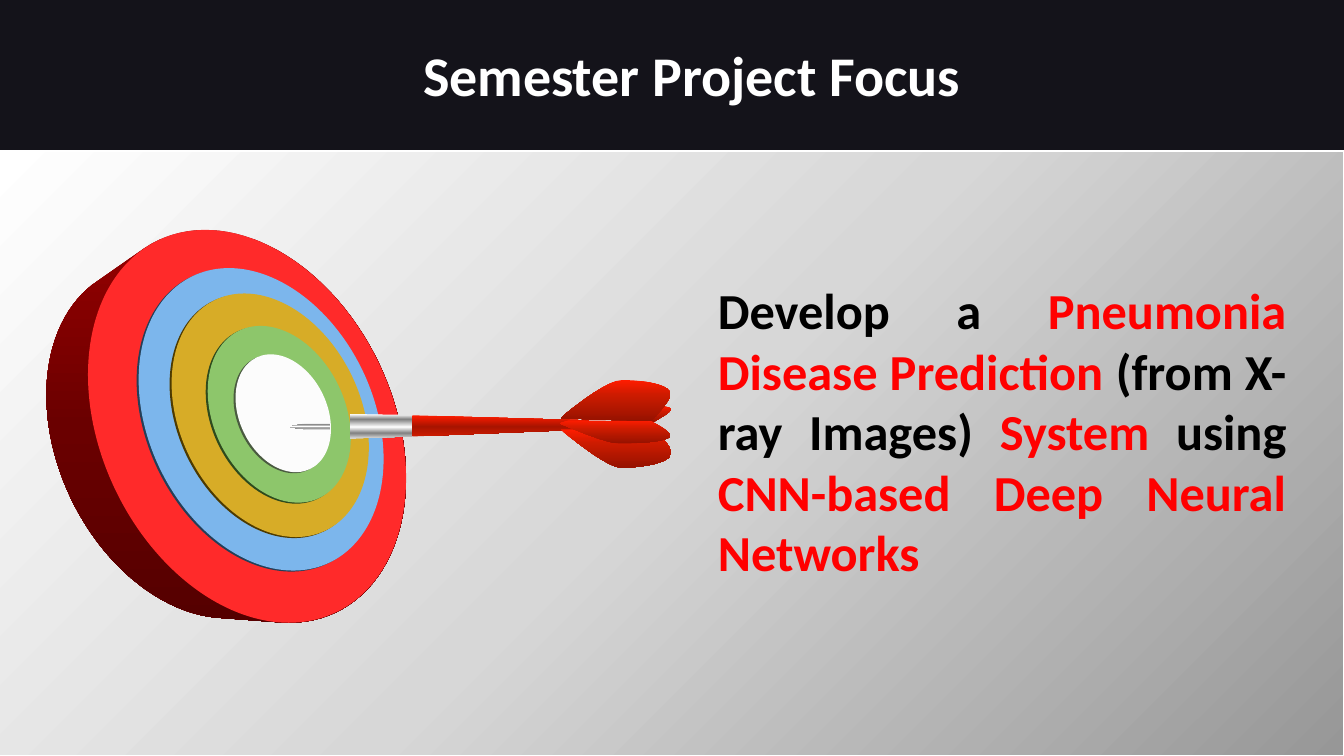
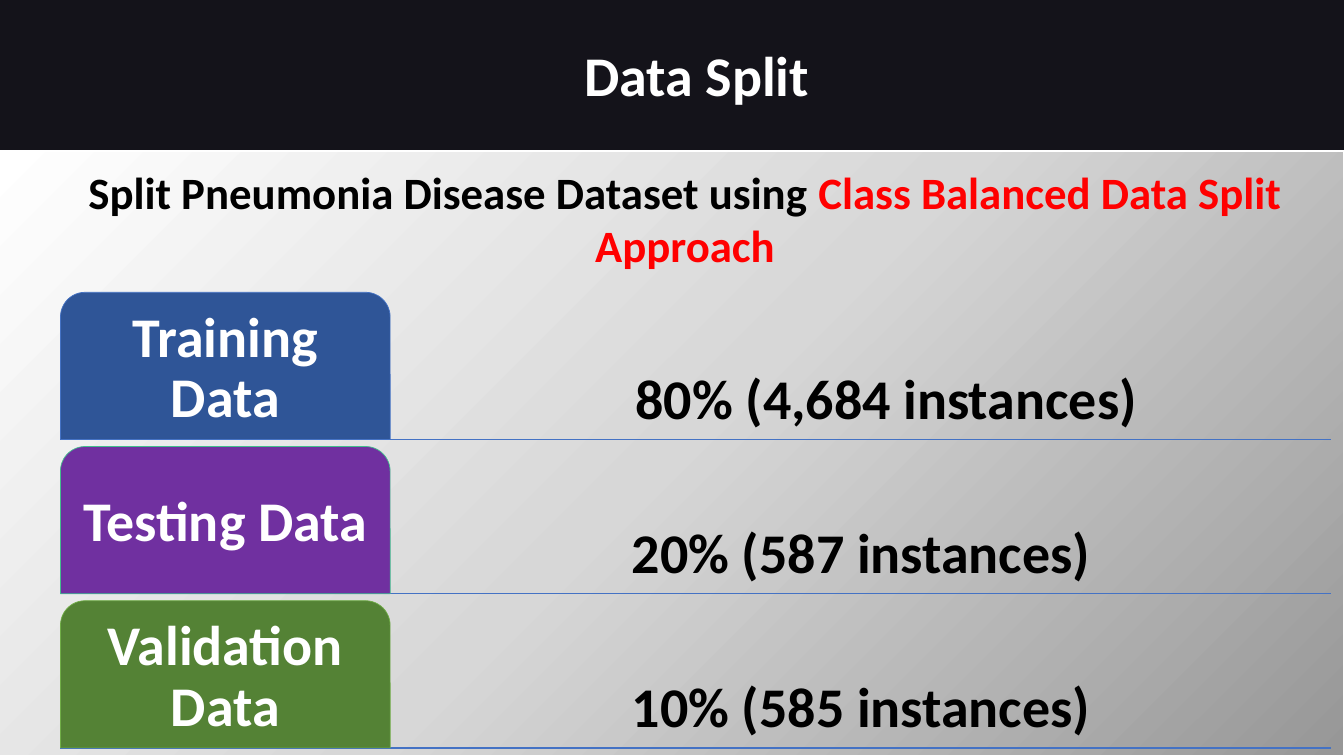
import math
from typing import NamedTuple

from pptx import Presentation
from pptx import util as u
from pptx.dml.color import RGBColor
from pptx.enum import shapes, text
from pptx.oxml import parse_xml
from pptx.oxml.ns import nsdecls, qn

FONT = "Calibri"
COLORS = {
    "band": "14131A", "white": "FFFFFF", "black": "000000", "accent": "FF0000",
    "rule": "4472C4", "training": "2F5597", "testing": "7030A0",
    "testing_line": "43BB8D", "validation": "548235", "validation_line": "70AD47",
    "red": "FF2A2A", "blue": "7CB6EC", "blue_edge": "243F58", "gold": "D7AC27",
    "gold_edge": "4D3A00", "green": "8DC66B", "green_edge": "2E4A1D",
    "bull": "FCFCFC", "bull_edge": "4A5A40",
}
PANEL_STOPS = ((0, "979797"), (50, "D7D7D7"), (100, "FFFFFF"))
SIDE_STOPS = ((0, "960000"), (50, "6A0000"), (100, "550000"))
SHAFT_STOPS = ((0, "FF1C00"), (54, "A81400"), (100, "CC1B00"))
WING_STOPS = ((0, "FF1C00"), (37, "CC1B00"), (100, "961200"))
METAL_STOPS = ((0, "FFFFFF"), (21, "808080"), (53, "FFFFFF"), (78, "808080"), (100, "D9D9D9"))
DOWNWARD = '<a:lin ang="5400000" scaled="0"/>'
FROM_CORNER = '<a:path path="circle"><a:fillToRect l="100000" t="100000"/></a:path>'

BOARD_WIDTH, BOARD_HEIGHT, BOARD_TILT = 2.9, 4.09, -25.5

Point = tuple[float, float]
Stops = tuple[tuple[int, str], ...]


class Run(NamedTuple):
    words: str
    color: str = "black"


class Disc(NamedTuple):
    center_x: float
    center_y: float
    scale: float
    color: str = "red"


class DartPart(NamedTuple):
    """An outline: two numbers make a line, six make a cubic curve."""
    stops: Stops
    start: Point
    segments: tuple[tuple[float, ...], ...]


class SplitRow(NamedTuple):
    label: str
    share: str
    fill: str
    line: str
    indent: float = 0.08


FACE = Disc(2.45, 4.23, 1)
BACK = Disc(1.88, 4.38, 0.9)
RINGS = (
    Disc(2.59, 4.16, 0.77, "blue"),
    Disc(2.68, 4.12, 0.62, "gold"),
    Disc(2.77, 4.11, 0.45, "green"),
    Disc(2.81, 4.1, 0.3, "bull"),
)
DART = (
    DartPart(METAL_STOPS, (2.88, 4.23), ((3.04, 4.2), (3.27, 4.2), (3.27, 4.26), (3.04, 4.26), (2.88, 4.24))),
    DartPart(METAL_STOPS, (3.47, 4.11), ((4.09, 4.12), (4.09, 4.33), (3.47, 4.35))),
    DartPart(SHAFT_STOPS, (4.09, 4.12), ((5.84, 4.17), (5.84, 4.26), (4.09, 4.33))),
    DartPart(WING_STOPS, (5.56, 4.26), (
        (5.56, 4.26, 6.01, 4.64, 6.16, 4.64), (6.35, 4.64, 6.66, 4.6, 6.66, 4.49),
        (6.66, 4.46, 6.62, 4.4, 6.58, 4.36), (6.48, 4.38, 6.29, 4.39, 6.15, 4.4),
        (6.05, 4.4, 5.85, 4.32, 5.7, 4.26))),
    DartPart(WING_STOPS, (6.59, 4.03), (
        (6.53, 4.1, 6.46, 4.18, 6.46, 4.18), (6.48, 4.19),
        (6.52, 4.16, 6.66, 4.09, 6.66, 4.06), (6.66, 4.05, 6.63, 4.04, 6.59, 4.03))),
    DartPart(WING_STOPS, (5.56, 4.15), (
        (5.6, 4.11, 6.01, 3.77, 6.17, 3.77), (6.36, 3.77, 6.65, 3.81, 6.65, 3.91),
        (6.65, 3.98, 6.46, 4.18, 6.46, 4.18))),
    DartPart(WING_STOPS, (6.46, 4.18), (
        (5.64, 4.17), (5.55, 4.2), (5.55, 4.2, 6, 4.4, 6.15, 4.4),
        (6.35, 4.4, 6.65, 4.38, 6.65, 4.32), (6.65, 4.28, 6.46, 4.18, 6.46, 4.18))),
)
ROWS = (
    SplitRow("Training Data", "80% (4,684 instances)", "training", "rule", 0.58),
    SplitRow("Testing Data", "20% (587 instances)", "testing", "testing_line"),
    SplitRow("Validation Data", "10% (585 instances)", "validation", "validation_line"),
)


def rgb(name: str) -> RGBColor:
    return RGBColor.from_string(COLORS[name])


def set_attributes(target, values: dict) -> None:
    for name, value in values.items():
        setattr(target, name, value)


def box(left: float, top: float, width: float, height: float) -> list:
    return [u.Inches(value) for value in (left, top, width, height)]


def paint(shape, fill: str | None = None, line: str | None = None, weight: float = 1) -> None:
    shape.shadow.inherit = False
    if fill:
        shape.fill.solid()
        shape.fill.fore_color.rgb = rgb(fill)
    if line:
        shape.line.color.rgb = rgb(line)
        shape.line.width = u.Pt(weight)
    else:
        shape.line.fill.background()


def paint_gradient(shape, stops: Stops, direction: str = DOWNWARD) -> None:
    shape.fill.gradient()
    previous = shape._element.spPr.find(qn("a:gradFill"))
    marks = "".join(
        f'<a:gs pos="{position * 1000}"><a:srgbClr val="{color}"/></a:gs>'
        for position, color in stops)
    gradient = parse_xml(
        f'<a:gradFill {nsdecls("a")} rotWithShape="1"><a:gsLst>{marks}</a:gsLst>{direction}</a:gradFill>')
    previous.getparent().replace(previous, gradient)


def write(shape, runs: tuple[Run, ...], size: float, align=text.PP_ALIGN.CENTER,
          anchor=text.MSO_ANCHOR.TOP, inset: float = 0, spacing: float = 1) -> None:
    frame = shape.text_frame
    margin = u.Inches(inset)
    set_attributes(frame, {
        "word_wrap": True, "auto_size": text.MSO_AUTO_SIZE.NONE, "vertical_anchor": anchor,
        "margin_left": margin, "margin_right": margin,
        "margin_top": margin, "margin_bottom": margin})
    paragraph = frame.paragraphs[0]
    set_attributes(paragraph, {"alignment": align, "line_spacing": spacing})
    for item in runs:
        run = paragraph.add_run()
        run.text = item.words
        set_attributes(run.font, {"name": FONT, "size": u.Pt(size), "bold": True})
        run.font.color.rgb = rgb(item.color)


def add_page(presentation, title: str, title_left: float):
    """Add a slide with its title in the band and the shaded panel below."""
    slide = presentation.slides.add_slide(presentation.slide_layouts[5])
    heading = slide.shapes.title
    set_attributes(heading, dict(zip(
        ("left", "top", "width", "height"), box(title_left, 0.35, 12.38, 0.77))))
    write(heading, (Run(title, "white"),), 40, anchor=text.MSO_ANCHOR.MIDDLE, inset=0.05)
    panel = slide.shapes.add_shape(shapes.MSO_SHAPE.RECTANGLE, *box(-0.02, 1.5, 13.35, 6))
    paint(panel, line="white")
    paint_gradient(panel, PANEL_STOPS, FROM_CORNER)
    return slide


def add_outline(slide, points: list[Point], stops: Stops) -> None:
    corners = [(u.Inches(x), u.Inches(y)) for x, y in points]
    builder = slide.shapes.build_freeform(*corners[0])
    builder.add_line_segments(corners[1:], close=True)
    outline = builder.convert_to_shape()
    paint(outline)
    paint_gradient(outline, stops)


def add_disc(slide, disc: Disc) -> None:
    width, height = BOARD_WIDTH * disc.scale, BOARD_HEIGHT * disc.scale
    ellipse = slide.shapes.add_shape(shapes.MSO_SHAPE.OVAL, *box(
        disc.center_x - width / 2, disc.center_y - height / 2, width, height))
    ellipse.rotation = BOARD_TILT
    paint(ellipse, disc.color)


def board_side() -> list[Point]:
    """Trace the hull around the front and back of the board."""
    tilt = math.radians(BOARD_TILT)
    radius_x, radius_y = BOARD_WIDTH / 2, BOARD_HEIGHT / 2
    points = []
    for degrees in range(0, 360, 3):
        across, down = math.cos(math.radians(degrees)), math.sin(math.radians(degrees))

        def reach(disc: Disc) -> float:
            x = disc.center_x * math.cos(tilt) + disc.center_y * math.sin(tilt)
            y = disc.center_y * math.cos(tilt) - disc.center_x * math.sin(tilt)
            return x / radius_x * across + y / radius_y * down + disc.scale

        disc = max(FACE, BACK, key=reach)
        x, y = radius_x * disc.scale * across, radius_y * disc.scale * down
        points.append((disc.center_x + x * math.cos(tilt) - y * math.sin(tilt),
                       disc.center_y + x * math.sin(tilt) + y * math.cos(tilt)))
    return points


def trace(part: DartPart, steps: int = 10) -> list[Point]:
    points = [part.start]
    for segment in part.segments:
        if len(segment) == 2:
            points.append(segment)
            continue
        controls = (points[-1], segment[:2], segment[2:4], segment[4:])
        for step in range(1, steps + 1):
            t = step / steps
            weights = [math.comb(3, i) * t ** i * (1 - t) ** (3 - i) for i in range(4)]
            points.append(tuple(
                sum(weight * control[axis] for weight, control in zip(weights, controls))
                for axis in (0, 1)))
    return points


def add_target(slide) -> None:
    add_outline(slide, board_side(), SIDE_STOPS)
    add_disc(slide, FACE)
    for ring in RINGS:
        add_disc(slide, Disc(ring.center_x - 0.02, ring.center_y + 0.01, ring.scale, f"{ring.color}_edge"))
        add_disc(slide, ring)
    for part in DART:
        add_outline(slide, trace(part), part.stops)


def add_split_row(slide, row: SplitRow, top: float, height: float = 1.46) -> None:
    bottom = u.Inches(top + height)
    rule = slide.shapes.add_connector(
        shapes.MSO_CONNECTOR.STRAIGHT, u.Inches(0.6), bottom, u.Inches(13.2), bottom)
    rule.line.color.rgb = rgb("rule")
    rule.line.width = u.Pt(1)
    rule._element.spPr.append(parse_xml(f'<a:effectLst {nsdecls("a")}/>'))
    tab = slide.shapes.add_shape(
        shapes.MSO_SHAPE.ROUND_2_SAME_RECTANGLE, *box(0.6, top, 3.27, height))
    paint(tab, row.fill, row.line, 0.5)
    write(tab, (Run(row.label, "white"),), 40, anchor=text.MSO_ANCHOR.MIDDLE,
          inset=0.08, spacing=0.9)
    share = slide.shapes.add_textbox(*box(3.88, top, 9.32, height))
    write(share, (Run(row.share),), 40, anchor=text.MSO_ANCHOR.BOTTOM, inset=0.08, spacing=0.9)
    share.text_frame.margin_left = u.Inches(row.indent)


def add_focus_slide(presentation) -> None:
    slide = add_page(presentation, "Semester Project Focus", 0.67)
    add_target(slide)
    goal = slide.shapes.add_textbox(*box(7.12, 2.77, 5.64, 3.03))
    write(goal, (
        Run("Develop a "), Run("Pneumonia Disease Prediction ", "accent"),
        Run("(from X-ray Images) "), Run("System", "accent"), Run(" using "),
        Run("CNN-based Deep Neural Networks", "accent")), 36, text.PP_ALIGN.JUSTIFY)


def add_split_slide(presentation) -> None:
    slide = add_page(presentation, "Data Split", 0.72)
    for index, row in enumerate(ROWS):
        add_split_row(slide, row, 2.9 + 1.53 * index)
    approach = slide.shapes.add_textbox(*box(0.26, 1.63, 13.07, 1.08))
    write(approach, (
        Run("Split Pneumonia Disease Dataset using "),
        Run("Class Balanced Data Split Approach", "accent")), 32)


def main() -> None:
    presentation = Presentation()
    presentation.slide_width, presentation.slide_height = u.Inches(13.33), u.Inches(7.5)
    background = presentation.slide_master.background.fill
    background.solid()
    background.fore_color.rgb = rgb("band")
    add_focus_slide(presentation)
    add_split_slide(presentation)
    presentation.save("out.pptx")


if __name__ == "__main__":
    main()
